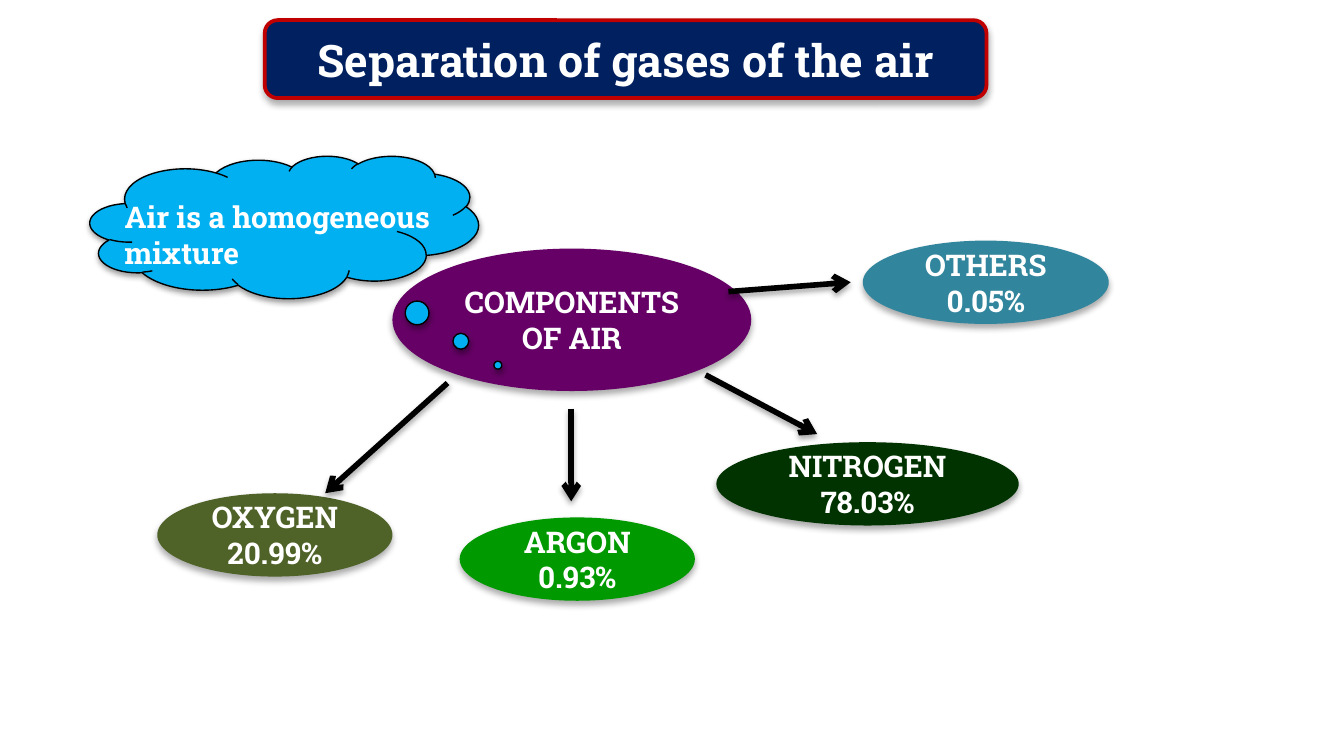
from dataclasses import dataclass

import pptx
import pptx.dml.color
import pptx.enum.shapes
import pptx.enum.text
import pptx.util
from lxml import etree
from pptx.oxml.ns import qn
from pptx.util import Inches, Pt

FONT = "Roboto Slab"
SHAPE = pptx.enum.shapes.MSO_SHAPE
ALIGN = pptx.enum.text.PP_ALIGN


@dataclass
class Shadow:
    opacity: int
    blur: float
    distance: float


@dataclass
class Bubble:
    lines: list[str]
    left: float
    top: float
    width: float
    height: float
    fill: str


@dataclass
class Arrow:
    x1: float
    y1: float
    x2: float
    y2: float


SHAPE_SHADOW = Shadow(32, 3.5, 2.2)
ARROW_SHADOW = Shadow(35, 3.1, 1.8)
CLOUD_SHADOW = Shadow(38, 3.1, 1.6)

BUBBLES = [
    Bubble(["COMPONENTS OF AIR"], 2.92, 1.85, 2.67, 1.06, "660066"),
    Bubble(["OXYGEN", "20.99%"], 1.17, 3.67, 1.75, 0.62, "4F6228"),
    Bubble(["ARGON", "0.93%"], 3.42, 3.85, 1.75, 0.62, "009900"),
    Bubble(["NITROGEN", "78.03%"], 5.33, 3.29, 2.25, 0.62, "003300"),
    Bubble(["OTHERS", "0.05%"], 6.42, 1.79, 1.83, 0.62, "31859C"),
]
ARROWS = [
    Arrow(5.42, 2.17, 6.33, 2.1),
    Arrow(3.33, 2.85, 2.42, 3.67),
    Arrow(4.25, 3.04, 4.25, 3.73),
    Arrow(5.25, 2.79, 6.08, 3.23),
]


def rgb(color: str) -> pptx.dml.color.RGBColor:
    return pptx.dml.color.RGBColor.from_string(color)


def add_shadow(effects, shadow: Shadow) -> None:
    """Put a black downward shadow into an a:effectLst element."""
    outer = etree.SubElement(
        effects, qn("a:outerShdw"), blurRad=str(Pt(shadow.blur)),
        dist=str(Pt(shadow.distance)), dir="5400000", rotWithShape="0")
    black = etree.SubElement(outer, qn("a:srgbClr"), val="000000")
    etree.SubElement(black, qn("a:alpha"), val=str(shadow.opacity * 1000))


def style_shape(sp, fill: str, shadow: Shadow, line: str = "", width: float = 0) -> None:
    sp.fill.solid()
    sp.fill.fore_color.rgb = rgb(fill)
    if line:
        sp.line.color.rgb = rgb(line)
        sp.line.width = Pt(width)
    else:
        sp.line.fill.background()
    sp.shadow.inherit = False
    add_shadow(sp._element.spPr.find(qn("a:effectLst")), shadow)


def write(sp, lines: list[str], size: float, align) -> None:
    tf = sp.text_frame
    tf.word_wrap = True
    tf.text = "\n".join(lines)
    for p in tf.paragraphs:
        p.alignment = align
        p.font.name = FONT
        p.font.size = Pt(size)
        p.font.bold = True
        p.font.color.rgb = rgb("FFFFFF")


def add_title(s, text: str) -> None:
    sp = s.shapes.add_shape(SHAPE.ROUNDED_RECTANGLE, Inches(1.97), Inches(0.15),
                            Inches(5.37), Inches(0.58))
    style_shape(sp, "002060", SHAPE_SHADOW, "C00000", 2)
    write(sp, [text], 24, ALIGN.CENTER)


def add_bubble(s, b: Bubble) -> None:
    sp = s.shapes.add_shape(SHAPE.OVAL, Inches(b.left), Inches(b.top),
                            Inches(b.width), Inches(b.height))
    style_shape(sp, b.fill, SHAPE_SHADOW)
    write(sp, b.lines, 16, ALIGN.CENTER)


def add_arrow(s, a: Arrow) -> None:
    line = s.shapes.add_connector(pptx.enum.shapes.MSO_CONNECTOR.STRAIGHT,
                                  Inches(a.x1), Inches(a.y1), Inches(a.x2), Inches(a.y2))
    line.line.color.rgb = rgb("000000")
    line.line.width = Pt(3)
    spPr = line._element.spPr
    etree.SubElement(spPr.find(qn("a:ln")), qn("a:tailEnd"), type="arrow")
    add_shadow(etree.SubElement(spPr, qn("a:effectLst")), ARROW_SHADOW)


def add_thought(s, text: str) -> None:
    group = s.shapes.add_group_shape()
    cloud = group.shapes.add_shape(SHAPE.CLOUD_CALLOUT, Inches(0.67), Inches(1.16),
                                   Inches(2.89), Inches(1.06))
    cloud.adjustments[0] = 0.55
    cloud.adjustments[1] = 0.97
    style_shape(cloud, "00B0F0", CLOUD_SHADOW, "000000", 0.75)
    box = group.shapes.add_textbox(Inches(0.83), Inches(1.43), Inches(2.73), Inches(0.91))
    write(box, [text], 16, ALIGN.LEFT)


def main() -> None:
    prs = pptx.Presentation()
    prs.slide_width = Inches(10)
    prs.slide_height = Inches(10 * 9 / 16)
    s = prs.slides.add_slide(prs.slide_layouts[6])
    add_title(s, "Separation of gases of the air")
    for bubble in BUBBLES:
        add_bubble(s, bubble)
    for arrow in ARROWS:
        add_arrow(s, arrow)
    add_thought(s, "Air is a homogeneous mixture")
    prs.save("out.pptx")


if __name__ == "__main__":
    main()
